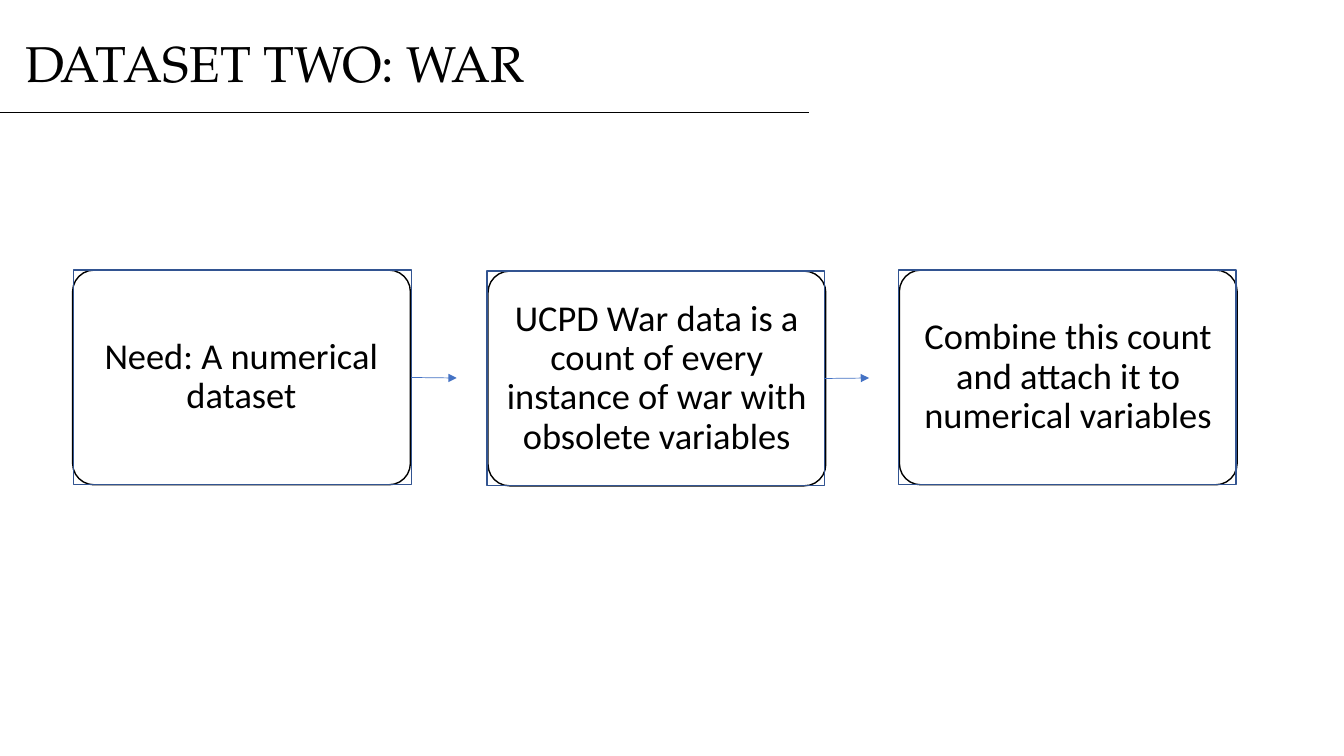
from lxml import etree
from pptx import Presentation
from pptx.dml.color import RGBColor
from pptx.enum.shapes import MSO_CONNECTOR, MSO_SHAPE
from pptx.enum.text import MSO_ANCHOR, PP_ALIGN
from pptx.oxml.ns import qn
from pptx.util import Inches, Pt

LINE = MSO_CONNECTOR.STRAIGHT
RECT = MSO_SHAPE.RECTANGLE
ROUND = MSO_SHAPE.ROUNDED_RECTANGLE
MIDDLE = MSO_ANCHOR.MIDDLE
LEFT, CENTER = PP_ALIGN.LEFT, PP_ALIGN.CENTER

BLACK, WHITE, NAVY, BLUE = "000000", "FFFFFF", "325491", "4472C4"
BOX_W, BOX_H = 3.35, 2.13

# Card left and top, frame left, text
STEPS = [
    (0.72, 2.68, 0.73, "Need: A numerical dataset"),
    (4.84, 2.69, 4.83, "UCPD War data is a count of every instance of war "
                       "with obsolete variables"),
    (8.92, 2.68, 8.91, "Combine this count and attach it to numerical variables"),
]


def color(code):
    return RGBColor.from_string(code)


def style(para, face, size, align):
    para.alignment = align
    for run in para.runs:
        run.font.name = face
        run.font.size = Pt(size)
        run.font.color.rgb = color(BLACK)


def add_title(slide, text):
    title = slide.shapes.title
    title.left, title.top = Inches(0.15), Inches(0.26)
    title.width, title.height = Inches(7.01), Inches(0.71)
    frame = title.text_frame
    frame.text = text
    frame.vertical_anchor = MIDDLE
    style(frame.paragraphs[0], "TeX Gyre Pagella", 36, LEFT)


def add_box(slide, kind, left, top, edge):
    box = slide.shapes.add_shape(
        kind, Inches(left), Inches(top), Inches(BOX_W), Inches(BOX_H))
    box.shadow.inherit = False
    box.fill.background()
    box.line.color.rgb = color(edge)
    box.line.width = Pt(1)
    return box


def add_card(slide, left, top, text):
    card = add_box(slide, ROUND, left, top, BLACK)
    card.adjustments[0] = 0.1
    card.fill.solid()
    card.fill.fore_color.rgb = color(WHITE)
    frame = card.text_frame
    frame.word_wrap = True
    frame.vertical_anchor = MIDDLE
    frame.margin_left = frame.margin_right = Inches(0.11)
    frame.margin_top = frame.margin_bottom = Inches(0.11)
    frame.text = text
    para = frame.paragraphs[0]
    para.line_spacing = 0.9
    style(para, "Calibri", 26, CENTER)


def add_line(slide, left, right, y, code):
    line = slide.shapes.add_connector(
        LINE, Inches(left), Inches(y), Inches(right), Inches(y))
    line.line.color.rgb = color(code)
    line.line.width = Pt(0.5)
    etree.SubElement(line._element.spPr, qn("a:effectLst"))
    return line


def add_arrow(slide, start, left, right):
    arrow = add_line(slide, left, right, 3.75, BLUE)
    arrow.begin_connect(start, 3)
    tail = etree.SubElement(arrow.line._get_or_add_ln(), qn("a:tailEnd"))
    tail.set("type", "triangle")


def main():
    deck = Presentation()
    deck.slide_width, deck.slide_height = Inches(13.33), Inches(7.5)
    slide = deck.slides.add_slide(deck.slide_layouts[5])

    # Heading and rule
    add_title(slide, "DATASET TWO: WAR")
    add_line(slide, 0, 8.02, 1.11, BLACK)

    # Rounded cards, then their square frames
    for left, top, _, text in STEPS:
        add_card(slide, left, top, text)
    frames = [add_box(slide, RECT, left, top, NAVY)
              for _, top, left, _ in STEPS]

    # Arrows between steps
    add_arrow(slide, frames[0], 4.08, 4.53)
    add_arrow(slide, frames[1], 8.18, 8.62)

    deck.save("out.pptx")


if __name__ == "__main__":
    main()
